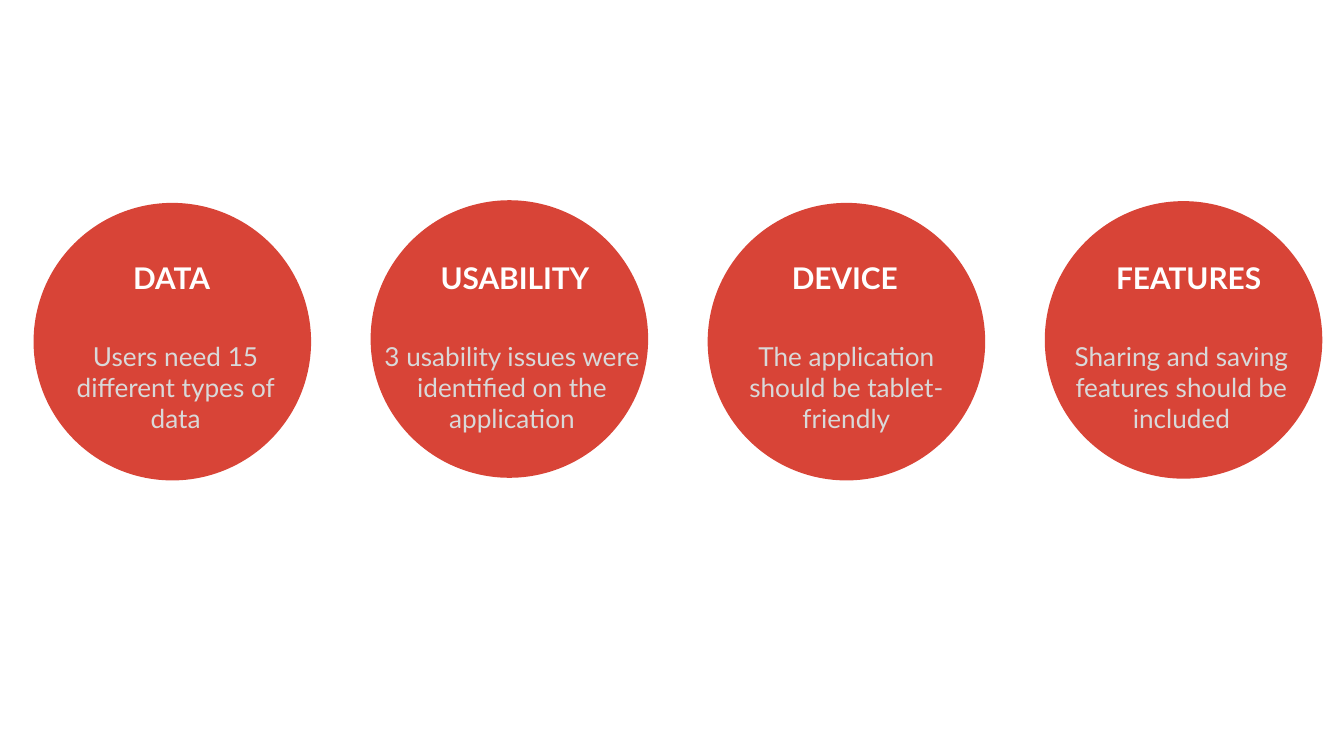
from dataclasses import dataclass

from pptx import Presentation
from pptx.dml.color import RGBColor
from pptx.enum.shapes import MSO_SHAPE
from pptx.enum.text import MSO_AUTO_SIZE, PP_ALIGN
from pptx.util import Inches, Pt

OVAL = MSO_SHAPE.OVAL
LEFT, CENTER = PP_ALIGN.LEFT, PP_ALIGN.CENTER
GROW = MSO_AUTO_SIZE.SHAPE_TO_FIT_TEXT
BLANK_LAYOUT = 6

# The grid has 100 columns across the slide; rows are as tall as columns are wide.
CELL = 0.1
DIAMETER = 20.65
FIRST_CENTER, PITCH = 12.82, 25.08
HEADING_ROW, HEADING_ROWS = 18.84, 3.7
BODY_ROW, BODY_ROWS = 24.8, 8.1


@dataclass(frozen=True)
class Theme:
    """Colours, font and type sizes of the deck."""
    circle: str = "D84437"
    heading: str = "FFFFFF"
    body: str = "D9D9D9"
    font: str = "Lato"
    heading_size: int = 16
    body_size: int = 14


@dataclass(frozen=True)
class Finding:
    """One circle: its words, top row, text widths and shifts off centre."""
    heading: str
    body: str
    top: float
    heading_width: float
    body_width: float
    heading_shift: float = 0
    body_shift: float = 0


FINDINGS = [
    Finding("DATA", "Users need 15 different types of data",
            15.1, 7.8, 20.2, body_shift=0.25),
    Finding("USABILITY", "3 usability issues were identified on the application",
            14.9, 13.3, 21.7, heading_shift=0.55, body_shift=0.2),
    Finding("DEVICE", "The application should be tablet-friendly",
            15.1, 10.1, 20),
    Finding("FEATURES", "Sharing and saving features should be included",
            14.97, 12.9, 20.4, heading_shift=0.45, body_shift=-0.15),
]


def write(frame, text, *, font, size, color, bold=False, align=CENTER):
    """Put formatted text into the first paragraph of a text frame."""
    para = frame.paragraphs[0]
    para.alignment = align
    span = para.add_run()
    span.text = text
    span.font.name = font
    span.font.size = Pt(size)
    span.font.bold = bold
    span.font.color.rgb = RGBColor.from_string(color)


class Painter:
    """Draws elements in one theme on the current slide."""

    def __init__(self, slide, theme):
        """Keep the slide and the theme."""
        self.slide = slide
        self.theme = theme

    def place(self, center, top, width, height):
        """Turn a centred grid position into left, top, width and height."""
        cells = (center - width / 2, top, width, height)
        return [Inches(cell * CELL) for cell in cells]

    def circle(self, center, top):
        """Draw a plain filled circle."""
        shape = self.slide.shapes.add_shape(
            OVAL, *self.place(center, top, DIAMETER, DIAMETER))
        shape.shadow.inherit = False
        shape.fill.solid()
        shape.fill.fore_color.rgb = RGBColor.from_string(self.theme.circle)
        shape.line.fill.background()

    def text(self, text, center, top, width, height, wrap=True, **style):
        """Draw a text box that grows with its text."""
        box = self.slide.shapes.add_textbox(
            *self.place(center, top, width, height))
        box.text_frame.word_wrap = wrap
        box.text_frame.auto_size = GROW
        write(box.text_frame, text, font=self.theme.font, **style)

    def heading(self, text, center, width):
        """Draw a bold one-line heading."""
        self.text(text, center, HEADING_ROW, width, HEADING_ROWS, wrap=False,
                  size=self.theme.heading_size, color=self.theme.heading,
                  bold=True, align=LEFT)

    def body(self, text, center, width):
        """Draw a wrapped description."""
        self.text(text, center, BODY_ROW, width, BODY_ROWS,
                  size=self.theme.body_size, color=self.theme.body)


def build():
    """Build and save the deck."""
    deck = Presentation()
    deck.slide_width = Inches(10)
    deck.slide_height = deck.slide_width * 9 // 16
    page = deck.slides.add_slide(deck.slide_layouts[BLANK_LAYOUT])
    painter = Painter(page, Theme())
    for index, finding in enumerate(FINDINGS):
        center = FIRST_CENTER + index * PITCH
        painter.circle(center, finding.top)
        painter.heading(finding.heading, center + finding.heading_shift,
                        finding.heading_width)
        painter.body(finding.body, center + finding.body_shift,
                     finding.body_width)
    deck.save("out.pptx")


build()
